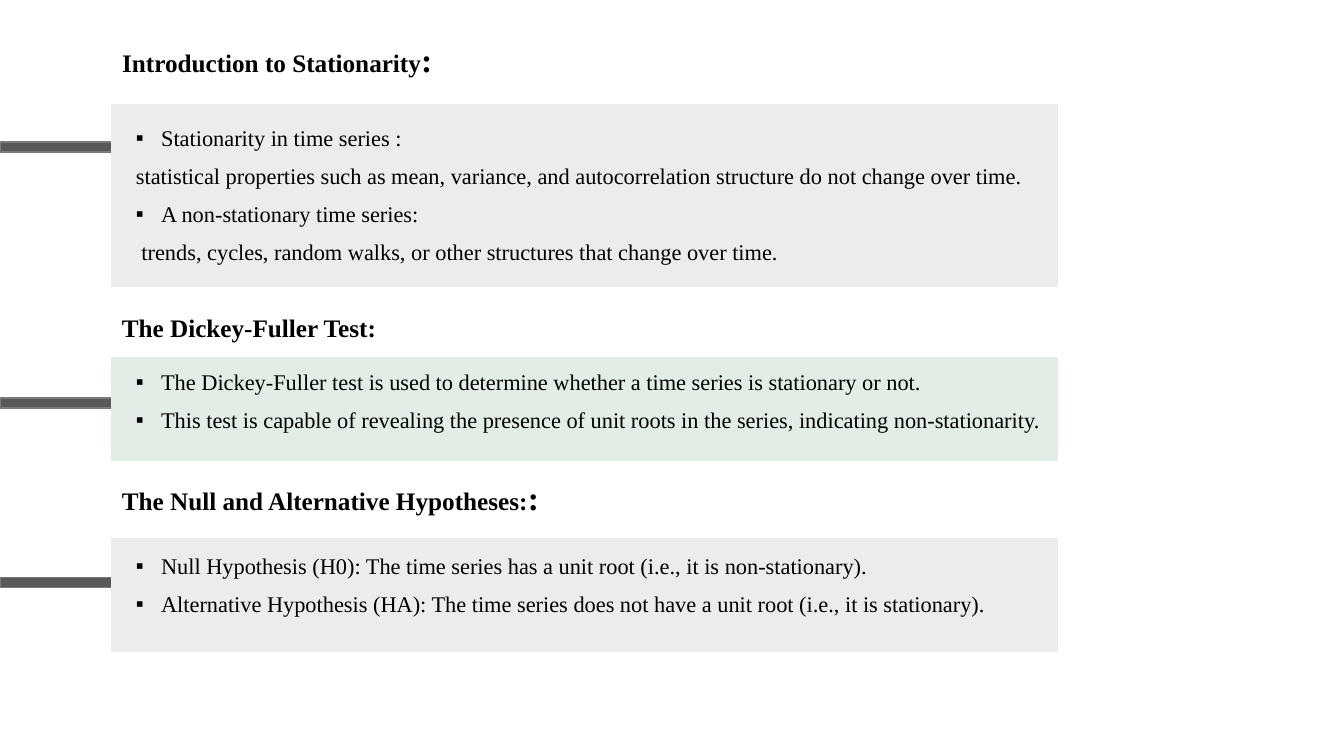
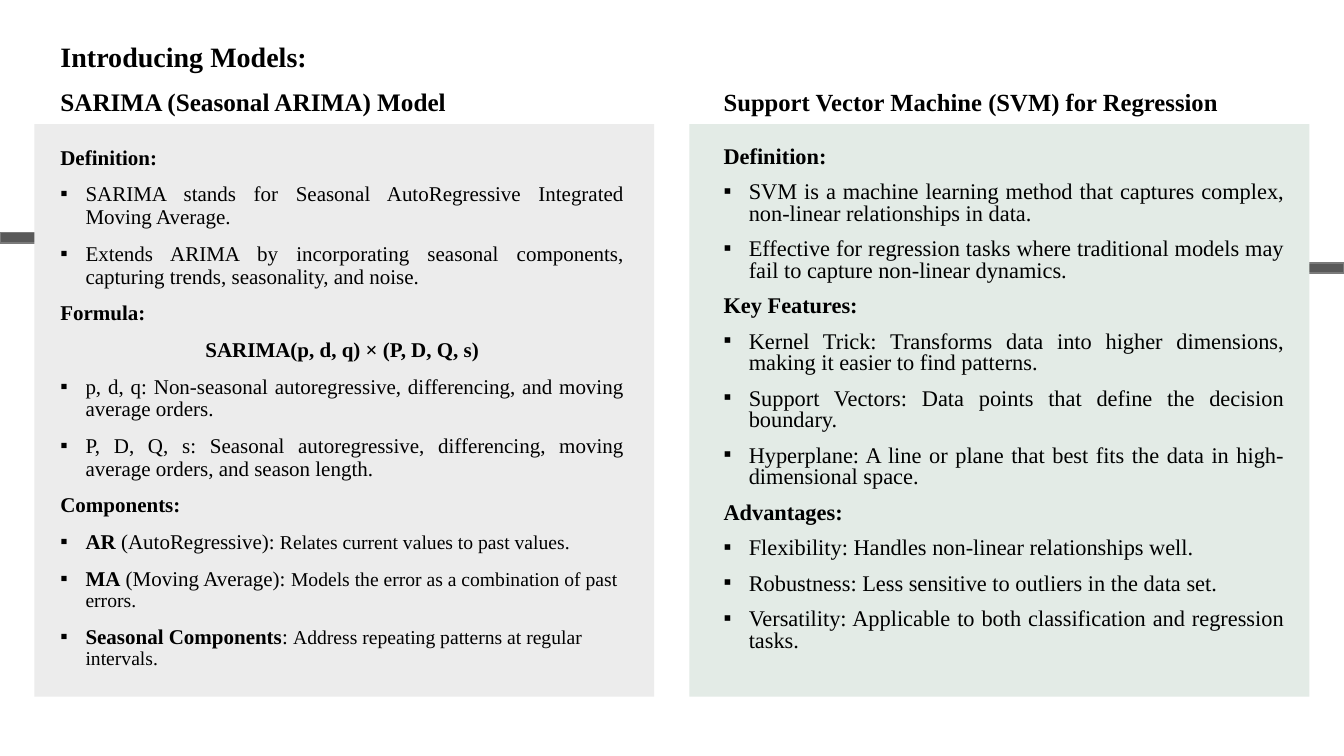
"""Build two slides on stationarity testing and forecasting models."""
from lxml.etree import SubElement
from pptx import Presentation
from pptx.dml.color import RGBColor
from pptx.enum.shapes import MSO_SHAPE as Shape
from pptx.enum.text import MSO_ANCHOR as Anchor, MSO_AUTO_SIZE as AutoSize, PP_ALIGN as Align
from pptx.oxml.ns import qn
from pptx.util import Pt

FONT = "Times New Roman"
BLACK = RGBColor(0x00, 0x00, 0x00)
BAR = RGBColor(0x59, 0x59, 0x59)
BAR_EDGE = RGBColor(0x7A, 0x7A, 0x7A)
GREY = RGBColor(0xEC, 0xEC, 0xEC)
MINT = RGBColor(0xE1, 0xED, 0xE6)
SAGE = RGBColor(0xE3, 0xEB, 0xE6)

SLIDE_W, SLIDE_H = 960, 540
BAR_W, BAR_H = 106, 7.2
INDENT = 18
TITLE_ONLY = 5

SECTIONS = [
    dict(heading=["Introduction to Stationarity", (":", dict(size=24))],
         heading_top=26.6, panel=(74.9, 129.6), bar_top=101.5, body_top=87.1, fill=GREY,
         lines=["▪Stationarity in time series :",
                "statistical properties such as mean, variance, and autocorrelation structure "
                "do not change over time.",
                "▪A non-stationary time series:",
                " trends, cycles, random walks, or other structures that change over time."]),
    dict(heading=["The Dickey-Fuller Test:"],
         heading_top=218.2, panel=(255.6, 73.4), bar_top=284.4, body_top=261.4, fill=MINT,
         lines=["▪The Dickey-Fuller test is used to determine whether a time series is "
                "stationary or not.",
                "▪This test is capable of revealing the presence of unit roots in the series, "
                "indicating non-stationarity."]),
    dict(heading=["The Null and Alternative Hypotheses:", (":", dict(size=24))],
         heading_top=339.8, panel=(384.5, 80.6), bar_top=412.6, body_top=393.1, fill=GREY,
         lines=["▪Null Hypothesis (H0): The time series has a unit root "
                "(i.e., it is non-stationary).",
                "▪Alternative Hypothesis (HA): The time series does not have a unit root "
                "(i.e., it is stationary)."]),
]


def label(text, align=Align.JUSTIFY):
    """Return a bold paragraph."""
    return dict(runs=[(text, dict(bold=True))], align=align)


def component(name, detail, meaning):
    """Return a left-aligned bullet with a bold name and a smaller meaning."""
    runs = ["▪", (name, dict(bold=True)), detail, (meaning, dict(size=14))]
    return dict(runs=runs, align=Align.LEFT)


SARIMA_LINES = [
    label("Definition:"),
    "▪SARIMA stands for Seasonal AutoRegressive Integrated Moving Average.",
    "▪Extends ARIMA by incorporating seasonal components, capturing trends, seasonality, "
    "and noise.",
    label("Formula:"),
    label("SARIMA(p, d, q) × (P, D, Q, s)", Align.CENTER),
    "▪p, d, q: Non-seasonal autoregressive, differencing, and moving average orders.",
    "▪P, D, Q, s: Seasonal autoregressive, differencing, moving average orders, "
    "and season length.",
    label("Components:", Align.LEFT),
    component("AR", " (AutoRegressive):", " Relates current values to past values."),
    component("MA", " (Moving Average): ", "Models the error as a combination of past errors."),
    component("Seasonal Components", ": ", "Address repeating patterns at regular intervals."),
]

SVM_LINES = [
    label("Definition:"),
    "▪SVM is a machine learning method that captures complex, non-linear relationships in data.",
    "▪Effective for regression tasks where traditional models may fail to capture "
    "non-linear dynamics.",
    label("Key Features:"),
    "▪Kernel Trick: Transforms data into higher dimensions, making it easier to find patterns.",
    "▪Support Vectors: Data points that define the decision boundary.",
    "▪Hyperplane: A line or plane that best fits the data in high-dimensional space.",
    label("Advantages:"),
    "▪Flexibility: Handles non-linear relationships well.",
    "▪Robustness: Less sensitive to outliers in the data set.",
    "▪Versatility: Applicable to both classification and regression tasks.",
]


def add_block(slide, left, top, width, height, fill, edge=None):
    """Add a flat rectangle."""
    block = slide.shapes.add_shape(Shape.RECTANGLE, Pt(left), Pt(top), Pt(width), Pt(height))
    block.shadow.inherit = False
    block.fill.solid()
    block.fill.fore_color.rgb = fill
    if edge is None:
        block.line.fill.background()
    else:
        block.line.color.rgb = edge
        block.line.width = Pt(1)


def add_bar(slide, left, top):
    """Add the dark bar that runs in from a slide edge."""
    add_block(slide, left, top, BAR_W, BAR_H, BAR, BAR_EDGE)


def set_bullet(paragraph):
    """Give a paragraph a hanging square bullet."""
    properties = paragraph._p.get_or_add_pPr()
    properties.set("marL", str(Pt(INDENT)))
    properties.set("indent", str(-Pt(INDENT)))
    SubElement(properties, qn("a:buFont")).set("typeface", FONT)
    SubElement(properties, qn("a:buChar")).set("char", "▪")


def write_text(frame, lines, size=16, bold=False, align=Align.LEFT,
               anchor=Anchor.TOP, spacing=0.9, before=0):
    """Fill a text frame; a line that starts with ▪ becomes a bullet."""
    frame.word_wrap = True
    frame.auto_size = AutoSize.NONE
    frame.vertical_anchor = anchor
    for number, line in enumerate(lines):
        if isinstance(line, str):
            line = dict(runs=[line])
        paragraph = frame.add_paragraph() if number else frame.paragraphs[0]
        paragraph.alignment = line.get("align", align)
        paragraph.line_spacing = spacing
        paragraph.space_before = Pt(before)
        for part in line["runs"]:
            text, style = (part, {}) if isinstance(part, str) else part
            if text.startswith("▪"):
                set_bullet(paragraph)
                text = text[1:]
            if not text:
                continue
            run = paragraph.add_run()
            run.text = text
            run.font.name = FONT
            run.font.size = Pt(style.get("size", size))
            run.font.bold = style.get("bold", bold)
            run.font.color.rgb = BLACK


def add_text(slide, left, top, width, height, lines, **style):
    """Add a text box with formatted lines."""
    box = slide.shapes.add_textbox(Pt(left), Pt(top), Pt(width), Pt(height))
    write_text(box.text_frame, lines, **style)


def add_body(slide, left, top, width, height, lines, **style):
    """Add justified body text."""
    add_text(slide, left, top, width, height, lines, align=Align.JUSTIFY, before=10, **style)


def add_heading(slide, left, top, width, height, runs, size=18):
    """Add a bold section heading."""
    add_text(slide, left, top, width, height, [dict(runs=runs)],
             size=size, bold=True, anchor=Anchor.MIDDLE)


def set_title(slide, left, top, width, height, runs, size):
    """Place and format the title placeholder."""
    title = slide.shapes.title
    title.left, title.top, title.width, title.height = map(Pt, (left, top, width, height))
    write_text(title.text_frame, [dict(runs=runs)], size=size, bold=True, anchor=Anchor.MIDDLE)


def build_stationarity(slide):
    """Build the slide with three stacked sections."""
    for number, section in enumerate(SECTIONS):
        top, height = section["panel"]
        add_bar(slide, 0, section["bar_top"])
        add_block(slide, 80, top, 675, height, section["fill"], section["fill"])
        heading = (80, section["heading_top"], 825, 34.6, section["heading"])
        if number:
            add_heading(slide, *heading)
        else:
            set_title(slide, *heading, size=18)
        add_body(slide, 90, section["body_top"], 675, height, section["lines"])


def build_models(slide):
    """Build the slide that sets two models side by side."""
    add_bar(slide, SLIDE_W - BAR_W, 187.9)
    add_bar(slide, 0, 166.3)
    for left, fill in ((24.5, GREY), (492.5, SAGE)):
        add_block(slide, left, 88.6, 442.8, 409, fill)
    set_title(slide, 36, 23.8, 780, 35.3, ["Introducing Models:"], size=20)
    add_heading(slide, 36, 62.6, 331, 23, ["SARIMA (Seasonal ARIMA) Model"])
    add_heading(slide, 509.8, 50.4, 440, 46.8,
                ["Support Vector Machine (SVM) for Regression"], size=17.6)
    add_body(slide, 36, 101.5, 416.9, 382.3, SARIMA_LINES, size=15)
    add_body(slide, 509.8, 101.5, 414.7, 382.3, SVM_LINES, spacing=0.8)


def main():
    """Create and save the presentation."""
    deck = Presentation()
    deck.slide_width, deck.slide_height = Pt(SLIDE_W), Pt(SLIDE_H)
    for build in (build_stationarity, build_models):
        build(deck.slides.add_slide(deck.slide_layouts[TITLE_ONLY]))
    deck.save("out.pptx")


if __name__ == "__main__":
    main()
